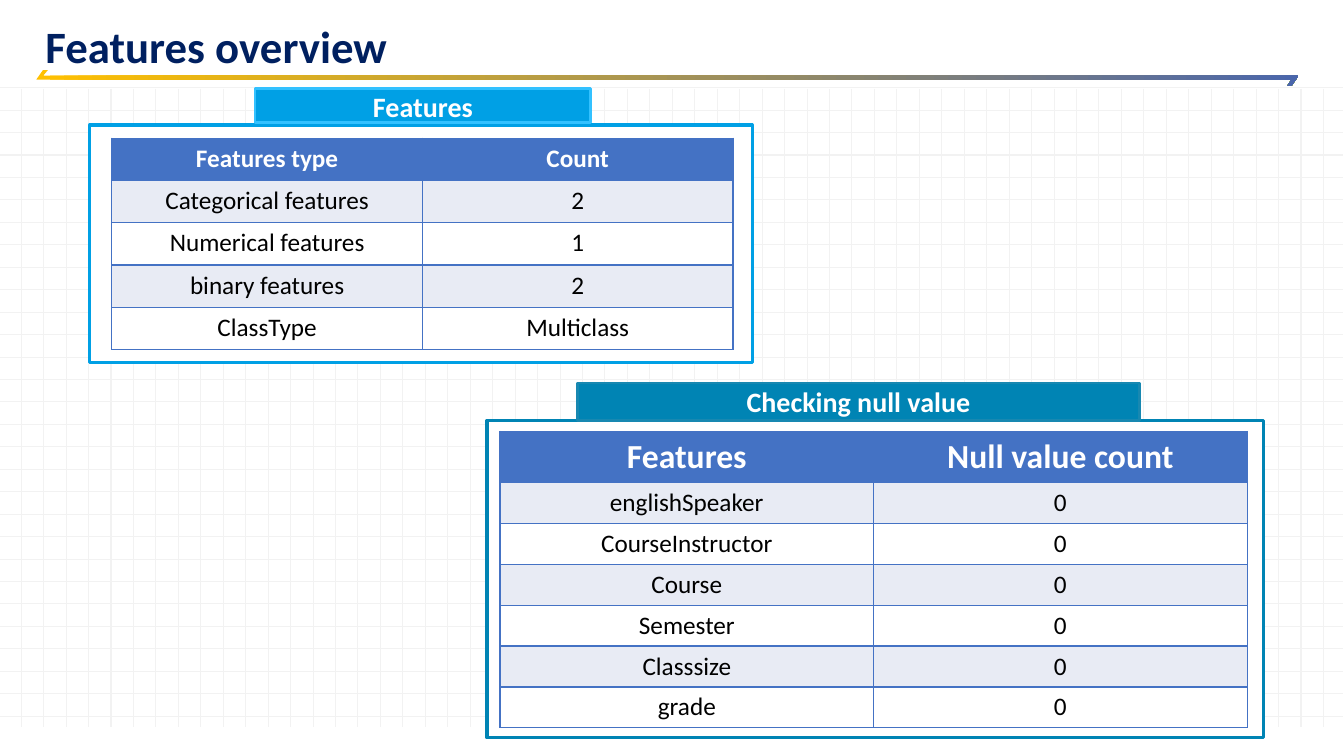
from lxml import etree
from pptx import Presentation
from pptx import util as u
from pptx.dml.color import RGBColor
from pptx.enum import shapes, text
from pptx.oxml import ns

WHITE = RGBColor(0xFF, 0xFF, 0xFF)
BLACK = RGBColor(0x00, 0x00, 0x00)
NAVY = RGBColor(0x00, 0x20, 0x60)
GRID = RGBColor(0xF2, 0xF2, 0xF2)
GOLD = RGBColor(0xFF, 0xC0, 0x00)
INDIGO = RGBColor(0x4A, 0x66, 0xAC)
SKY = RGBColor(0x00, 0xA0, 0xE5)
LIGHT_SKY = RGBColor(0x33, 0xC1, 0xFF)
TEAL = RGBColor(0x00, 0x84, 0xB4)
LIGHT_TEAL = RGBColor(0x18, 0x88, 0xB1)
TABLE_BLUE = RGBColor(0x44, 0x72, 0xC4)
BAND = RGBColor(0xE8, 0xEB, 0xF4)

# Outline of the title rule, in hundredths of an inch
RULE_POINTS = [(43, 69), (48, 69), (43, 75), (88 + 1200, 75), (1281, 85),
               (1277, 85), (1281, 79), (36, 79)]

FEATURE_ROWS = [
    ("Features type", "Count"),
    ("Categorical features", "2"),
    ("Numerical features", "1"),
    ("binary features", "2"),
    ("ClassType", "Multiclass"),
]
NULL_ROWS = [("Features", "Null value count")] + [
    (name, "0") for name in ("englishSpeaker", "CourseInstructor", "Course",
                             "Semester", "Classsize", "grade")]


def write(frame, words, size=18, color=BLACK, bold=False,
          align=text.PP_ALIGN.CENTER, spacing=None):
    para = frame.paragraphs[0]
    para.alignment = align
    para.line_spacing = spacing
    span = para.add_run()
    span.text = words
    span.font.name = "Calibri"
    span.font.size = u.Pt(size)
    span.font.bold = bold
    span.font.color.rgb = color


def add_borders(cell, color, width):
    """Line all four sides of a table cell; call before filling it."""
    properties = cell._tc.get_or_add_tcPr()
    for side in ("a:lnL", "a:lnR", "a:lnT", "a:lnB"):
        line = etree.SubElement(properties, ns.qn(side), w=str(u.Pt(width)))
        fill = etree.SubElement(line, ns.qn("a:solidFill"))
        etree.SubElement(fill, ns.qn("a:srgbClr"), val=str(color))


class SlideBuilder:
    def __init__(self):
        self.deck = Presentation()
        self.deck.slide_width = u.Inches(13.33)
        self.deck.slide_height = u.Inches(7.5)
        self.page = self.deck.slides.add_slide(self.deck.slide_layouts[5])

    def line(self, x1, y1, x2, y2):
        connector = self.page.shapes.add_connector(
            shapes.MSO_CONNECTOR.STRAIGHT, *map(u.Inches, (x1, y1, x2, y2)))
        connector.line.color.rgb = GRID
        connector.line.width = u.Pt(0.75)
        etree.SubElement(connector._element.spPr, ns.qn("a:effectLst"))

    def grid(self, columns=59, rows=29, step=0.2227):
        for i in range(columns):
            x = 0.21 + i * step
            self.line(x, 0.88, x, 7.21)
        for i in range(rows):
            y = 0.87 + i * step
            self.line(0, y, 13.32, y)

    def title_rule(self):
        builder = self.page.shapes.build_freeform(
            *RULE_POINTS[0], scale=u.Inches(0.01))
        builder.add_line_segments(RULE_POINTS[1:], close=True)
        rule = builder.convert_to_shape()
        rule.shadow.inherit = False
        rule.line.fill.background()
        rule.fill.gradient()
        rule.fill.gradient_angle = 0
        for stop, color in zip(rule.fill.gradient_stops, (GOLD, INDIGO)):
            stop.color.rgb = color

    def title(self, words, left, top, width, height):
        title = self.page.shapes.title
        title.left, title.top, title.width, title.height = map(
            u.Inches, (left, top, width, height))
        frame = title.text_frame
        frame.auto_size = text.MSO_AUTO_SIZE.NONE
        frame.vertical_anchor = text.MSO_ANCHOR.BOTTOM
        write(frame, words, size=32, color=NAVY, bold=True,
              align=text.PP_ALIGN.LEFT, spacing=0.9)

    def box(self, left, top, width, height, fill, line, weight, words=None):
        box = self.page.shapes.add_shape(
            shapes.MSO_SHAPE.RECTANGLE,
            *map(u.Inches, (left, top, width, height)))
        box.shadow.inherit = False
        box.fill.solid()
        box.fill.fore_color.rgb = fill
        box.line.color.rgb = line
        box.line.width = u.Pt(weight)
        if words:
            box.text_frame.vertical_anchor = text.MSO_ANCHOR.MIDDLE
            write(box.text_frame, words, size=20, color=WHITE, bold=True)

    def table(self, rows, left, top, width, head_height, row_height, head_size):
        height = head_height + row_height * (len(rows) - 1)
        table = self.page.shapes.add_table(
            len(rows), len(rows[0]),
            *map(u.Inches, (left, top, width, height))).table
        for i, row in enumerate(rows):
            head = i == 0
            table.rows[i].height = u.Inches(head_height if head else row_height)
            for j, words in enumerate(row):
                cell = table.cell(i, j)
                add_borders(cell, TABLE_BLUE, 0.96)
                cell.fill.solid()
                cell.fill.fore_color.rgb = (
                    TABLE_BLUE if head else BAND if i % 2 else WHITE)
                write(cell.text_frame, words, size=head_size if head else 18,
                      color=WHITE if head else BLACK, bold=head)


def main():
    slide = SlideBuilder()
    slide.grid()
    slide.title_rule()
    slide.title("Features overview", 0.35, 0.04, 12.44, 0.74)

    slide.box(0.89, 1.24, 6.57, 2.36, WHITE, SKY, 2.25)
    slide.box(2.53, 0.88, 3.33, 0.34, SKY, LIGHT_SKY, 2, "Features")
    slide.box(4.83, 4.17, 7.7, 3.15, WHITE, TEAL, 2.25)
    slide.box(5.73, 3.8, 5.57, 0.37, TEAL, LIGHT_TEAL, 2, "Checking null value")

    slide.table(FEATURE_ROWS, 1.11, 1.37, 6.16, 0.42, 0.42, head_size=18)
    slide.table(NULL_ROWS, 4.96, 4.28, 7.41, 0.49, 0.39, head_size=24)
    slide.deck.save("out.pptx")


if __name__ == "__main__":
    main()
